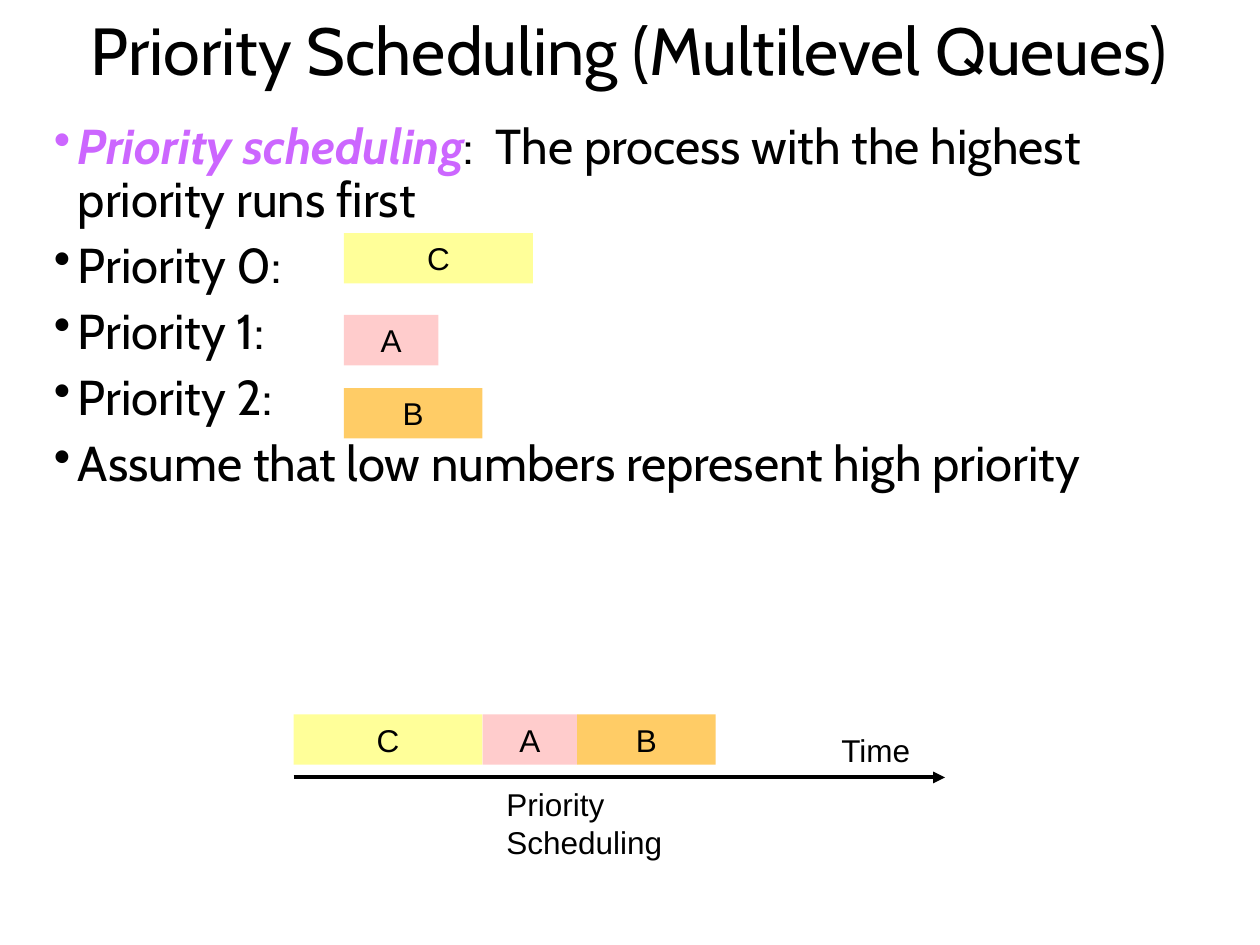
from lxml import etree
from pptx import Presentation
from pptx.dml.color import RGBColor
from pptx.enum.shapes import MSO_CONNECTOR, MSO_SHAPE
from pptx.enum.text import MSO_ANCHOR, MSO_AUTO_SIZE, PP_ALIGN
from pptx.oxml.ns import qn
from pptx.util import Inches, Pt

RECTANGLE = MSO_SHAPE.RECTANGLE
STRAIGHT = MSO_CONNECTOR.STRAIGHT
MIDDLE = MSO_ANCHOR.MIDDLE
CENTER = PP_ALIGN.CENTER
GROW = MSO_AUTO_SIZE.SHAPE_TO_FIT_TEXT

BLACK = RGBColor(0x00, 0x00, 0x00)
PURPLE = RGBColor(0xCC, 0x66, 0xFF)
PINK = RGBColor(0xFF, 0xCC, 0xCC)
ORANGE = RGBColor(0xFF, 0xCC, 0x66)
YELLOW = RGBColor(0xFF, 0xFF, 0x99)

# Process: (width in inches, colour)
PROCESSES = {"A": (0.75, PINK), "B": (1.1, ORANGE), "C": (1.5, YELLOW)}
BAR_HEIGHT = 0.4


def style(paragraph, font_name, size):
    paragraph.font.name = font_name
    paragraph.font.size = Pt(size)
    paragraph.font.color.rgb = BLACK


def add_process(shapes, process, left, top):
    width, colour = PROCESSES[process]
    bar = shapes.add_shape(RECTANGLE, Inches(left), Inches(top),
                           Inches(width), Inches(BAR_HEIGHT))
    bar.shadow.inherit = False
    bar.fill.solid()
    bar.fill.fore_color.rgb = colour
    bar.line.fill.background()
    bar.text_frame.auto_size = GROW
    label = bar.text_frame.paragraphs[0]
    label.text = process
    label.alignment = CENTER
    style(label, "Arial", 18)


prs = Presentation()
prs.slide_width, prs.slide_height = Inches(10), Inches(7.5)
slide = prs.slides.add_slide(prs.slide_layouts[6])

# Title
title = slide.shapes.add_textbox(Inches(0.33), Inches(0), Inches(9.33), Inches(0.85))
title.text_frame.word_wrap = True
title.text_frame.vertical_anchor = MIDDLE
heading = title.text_frame.paragraphs[0]
heading.text = "Priority Scheduling (Multilevel Queues)"
heading.alignment = CENTER
heading.line_spacing = 0.9
style(heading, "Cabin", 38)

# Bulleted definition and priority levels
body = slide.shapes.add_textbox(Inches(0.33), Inches(0.92), Inches(9.33), Inches(5.84))
body.text_frame.word_wrap = True
points = [
    ("Priority scheduling", ":  The process with the highest priority runs first"),
    ("Priority 0:",),
    ("Priority 1:",),
    ("Priority 2:",),
    ("Assume that low numbers represent high priority",),
]
for i, parts in enumerate(points):
    point = body.text_frame.paragraphs[0] if i == 0 else body.text_frame.add_paragraph()
    for part in parts:
        point.add_run().text = part
    point.line_spacing = 0.9
    point.space_before = Pt(7.5)
    style(point, "Cabin", 28)
    properties = point._p.get_or_add_pPr()
    properties.set("marL", str(Inches(0.19)))
    properties.set("indent", str(-Inches(0.19)))
    bullet = etree.Element(qn("a:buChar"), char="•")
    properties.find(qn("a:defRPr")).addprevious(bullet)

term = body.text_frame.paragraphs[0].runs[0].font
term.bold = term.italic = True
term.color.rgb = PURPLE

# Process waiting at each priority level
for process, top in [("A", 2.5), ("B", 3.08), ("C", 1.85)]:
    add_process(slide.shapes, process, 2.73, top)

# Timeline: processes back to back in order of priority
timeline = slide.shapes.add_group_shape().shapes
start = left = 2.33
for process in "CAB":
    add_process(timeline, process, left, 5.67)
    left += PROCESSES[process][0]

time_axis = timeline.add_connector(STRAIGHT, Inches(start), Inches(6.17),
                                   Inches(7.5), Inches(6.17))
time_axis.line.color.rgb = BLACK
time_axis.line.width = Pt(2.25)
etree.SubElement(time_axis.line._get_or_add_ln(), qn("a:tailEnd"), type="triangle")
etree.SubElement(time_axis._element.spPr, qn("a:effectLst"))

# Timeline captions
for text, left, top, width in [("Time", 6.58, 5.75, 0.76),
                               ("Priority Scheduling", 3.92, 6.18, 2.28)]:
    caption = timeline.add_textbox(Inches(left), Inches(top),
                                   Inches(width), Inches(BAR_HEIGHT))
    caption.text_frame.word_wrap = False
    caption.text_frame.auto_size = GROW
    caption.text_frame.text = text
    style(caption.text_frame.paragraphs[0], "Arial", 18)

prs.save("out.pptx")
